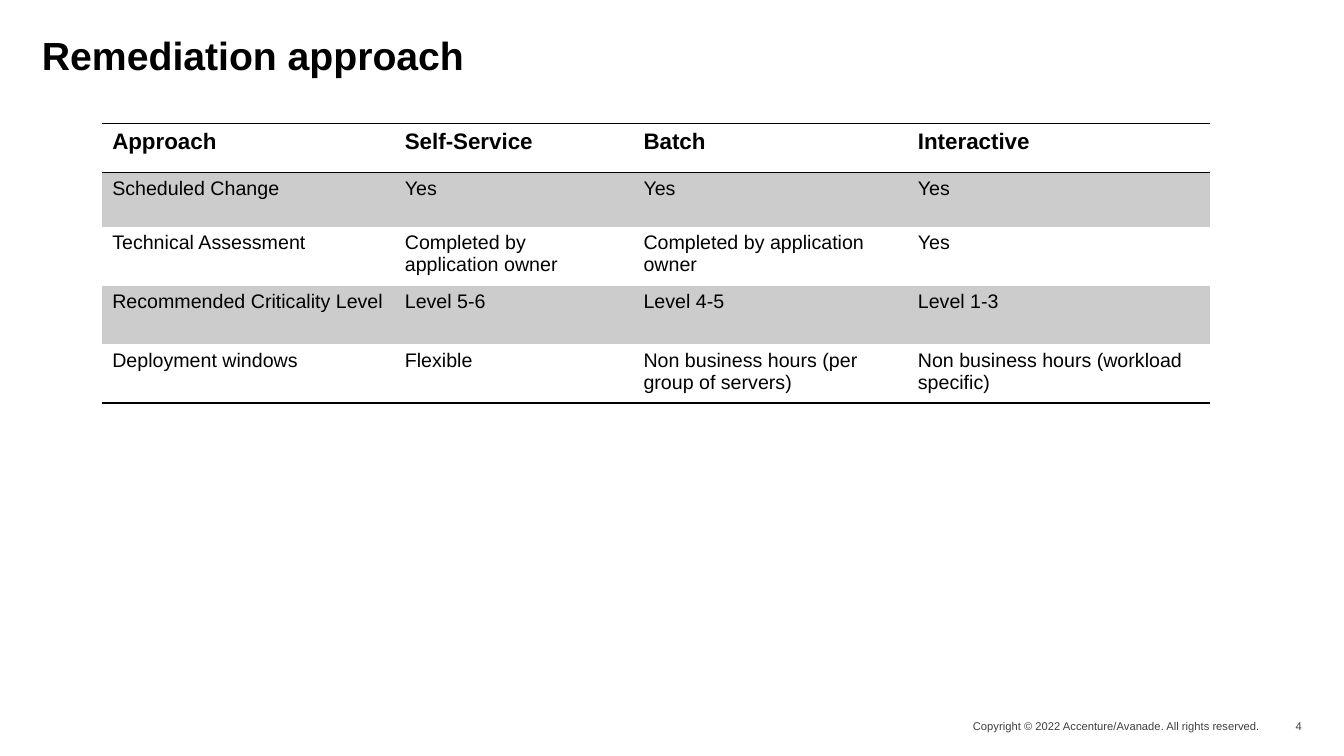
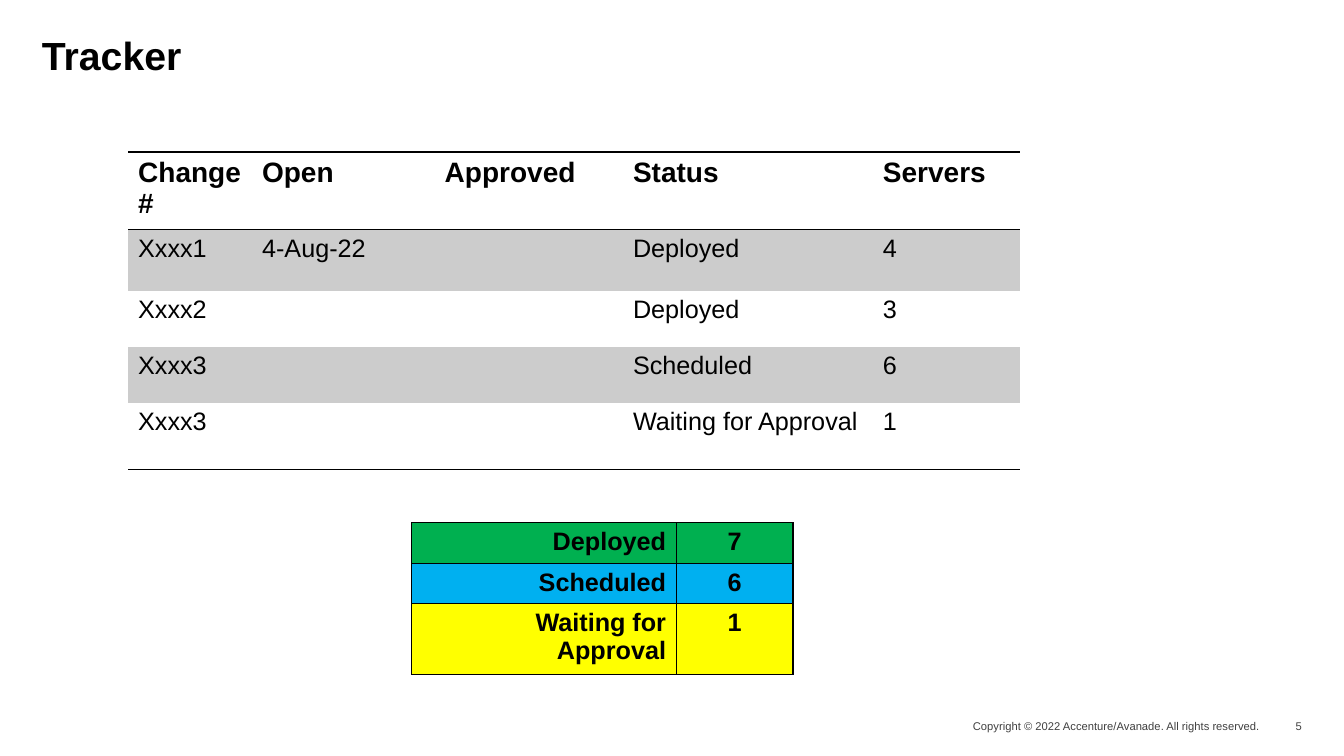
from pptx import Presentation
from pptx.dml.color import RGBColor
from pptx.enum.text import MSO_ANCHOR as Anchor, PP_ALIGN as Align
from pptx.oxml import parse_xml
from pptx.oxml.ns import nsdecls, qn
from pptx.util import Pt

# Shared look
FONT = "Arial"
BLACK, SOFT_BLACK, BAND = "000000", "404040", "CCCCCC"
GREEN, BLUE, YELLOW = "00B050", "00B0F0", "FFFF00"
PLAIN_TABLE = "{2D5ABB26-0587-4C30-8999-92F81FD0307C}"
TITLE_BOX = (30, 29, 900, 78)
COPYRIGHT_BOX = (655, 510.5, 245, 16)
NUMBER_BOX = (900, 510.5, 30, 16)
COPYRIGHT = "Copyright © 2022 Accenture/Avanade. All rights reserved."
TITLE_STYLE = {"size": Pt(28), "bold": True}
FOOTER_STYLE = {"size": Pt(8), "bold": False}


def rgb(value):
    return RGBColor.from_string(value)


def set_all(target, values):
    for name, value in values.items():
        setattr(target, name, value)


def write(paragraph, text, style, color=BLACK, **layout):
    set_all(paragraph, layout)
    run = paragraph.add_run()
    run.text = text
    set_all(run.font, {"name": FONT, **style})
    run.font.color.rgb = rgb(color)


def add_text(slide, box, text, style, color=BLACK, anchor=Anchor.TOP, **layout):
    frame = slide.shapes.add_textbox(*map(Pt, box)).text_frame
    set_all(frame, {"word_wrap": True, "vertical_anchor": anchor,
                    "margin_left": 0, "margin_right": 0,
                    "margin_top": 0, "margin_bottom": 0})
    write(frame.paragraphs[0], text, style, color, **layout)


def add_page(deck, title, number):
    """Slide with its title and footer."""
    slide = deck.slides.add_slide(deck.slide_layouts[6])
    add_text(slide, TITLE_BOX, title, TITLE_STYLE, line_spacing=0.8)
    for box, text in ((COPYRIGHT_BOX, COPYRIGHT), (NUMBER_BOX, str(number))):
        add_text(slide, box, text, FOOTER_STYLE, SOFT_BLACK, Anchor.MIDDLE,
                 alignment=Align.RIGHT, space_after=Pt(12))
    return slide


def rule_cell(cell, sides):
    """Black 1 pt borders on the given sides, in the order L, R, T, B."""
    properties = cell._tc.get_or_add_tcPr()
    for place, side in enumerate(sides):
        properties.insert(place, parse_xml(
            f'<a:ln{side} {nsdecls("a")} w="{Pt(1)}"><a:solidFill>'
            f'<a:srgbClr val="{BLACK}"/></a:solidFill></a:ln{side}>'))


def add_grid(slide, corner, widths, heights):
    """Unstyled table with its top left corner at the given point."""
    box = (*corner, sum(widths), sum(heights))
    frame = slide.shapes.add_table(len(heights), len(widths), *map(Pt, box))
    table = frame.table
    set_all(table, {"first_row": False, "horz_banding": False})
    table._tbl.tblPr.find(qn("a:tableStyleId")).text = PLAIN_TABLE
    for column, width in zip(table.columns, widths):
        column.width = Pt(width)
    for row, height in zip(table.rows, heights):
        row.height = Pt(height)
    return table


def add_banded_table(slide, corner, widths, heights, rows, head_size, body_size):
    """Ruled header, grey bands on alternate rows, closing rule."""
    table = add_grid(slide, corner, widths, heights)
    last = len(rows) - 1
    for r, texts in enumerate(rows):
        style = {"size": Pt(body_size if r else head_size), "bold": r == 0}
        for c, text in enumerate(texts):
            cell = table.cell(r, c)
            if r % 2:
                cell.fill.solid()
                cell.fill.fore_color.rgb = rgb(BAND)
            else:
                cell.fill.background()
            if text:
                write(cell.text_frame.paragraphs[0], text, style)
            rule_cell(cell, "TB" if r == 0 else "B" if r == last else "")


def add_status_summary(slide, corner, widths, heights, statuses):
    """Boxed totals, one coloured row per status."""
    table = add_grid(slide, corner, widths, heights)
    for r, (status, total, color) in enumerate(statuses):
        for c, (text, alignment) in enumerate(((status, Align.RIGHT),
                                               (total, Align.CENTER))):
            cell = table.cell(r, c)
            cell.fill.solid()
            cell.fill.fore_color.rgb = rgb(color)
            write(cell.text_frame.paragraphs[0], text,
                  {"size": Pt(18), "bold": True}, alignment=alignment)
            rule_cell(cell, "LRTB")


def build_approach(deck):
    slide = add_page(deck, "Remediation approach", 4)
    add_banded_table(
        slide, (73, 88.5), (209, 170.5, 196, 215.5), (34.5, 39, 42, 42, 42), (
            ("Approach", "Self-Service", "Batch", "Interactive"),
            ("Scheduled Change", "Yes", "Yes", "Yes"),
            ("Technical Assessment", "Completed by application owner",
             "Completed by application owner", "Yes"),
            ("Recommended Criticality Level", "Level 5-6", "Level 4-5", "Level 1-3"),
            ("Deployment windows", "Flexible",
             "Non business hours (per group of servers)",
             "Non business hours (workload specific)"),
        ), head_size=16, body_size=14)


def build_tracker(deck):
    slide = add_page(deck, "Tracker", 5)
    # Change log
    add_banded_table(
        slide, (91.5, 108.5), (88.5, 130.5, 134.5, 178.5, 105),
        (52, 44, 40, 40, 47.5), (
            ("Change#", "Open", "Approved", "Status", "Servers"),
            ("Xxxx1", "4-Aug-22", "", "Deployed", "4"),
            ("Xxxx2", "", "", "Deployed", "3"),
            ("Xxxx3", "", "", "Scheduled", "6"),
            ("Xxxx3", "", "", "Waiting for Approval", "1"),
        ), head_size=20, body_size=18)
    # Servers per status
    add_status_summary(
        slide, (294, 373.5), (189, 83.5), (27.5, 27.5, 47.5), (
            ("Deployed", "7", GREEN),
            ("Scheduled", "6", BLUE),
            ("Waiting for Approval", "1", YELLOW),
        ))


def main():
    deck = Presentation()
    set_all(deck, {"slide_width": Pt(960), "slide_height": Pt(540)})
    build_approach(deck)
    build_tracker(deck)
    deck.save("out.pptx")


if __name__ == "__main__":
    main()
